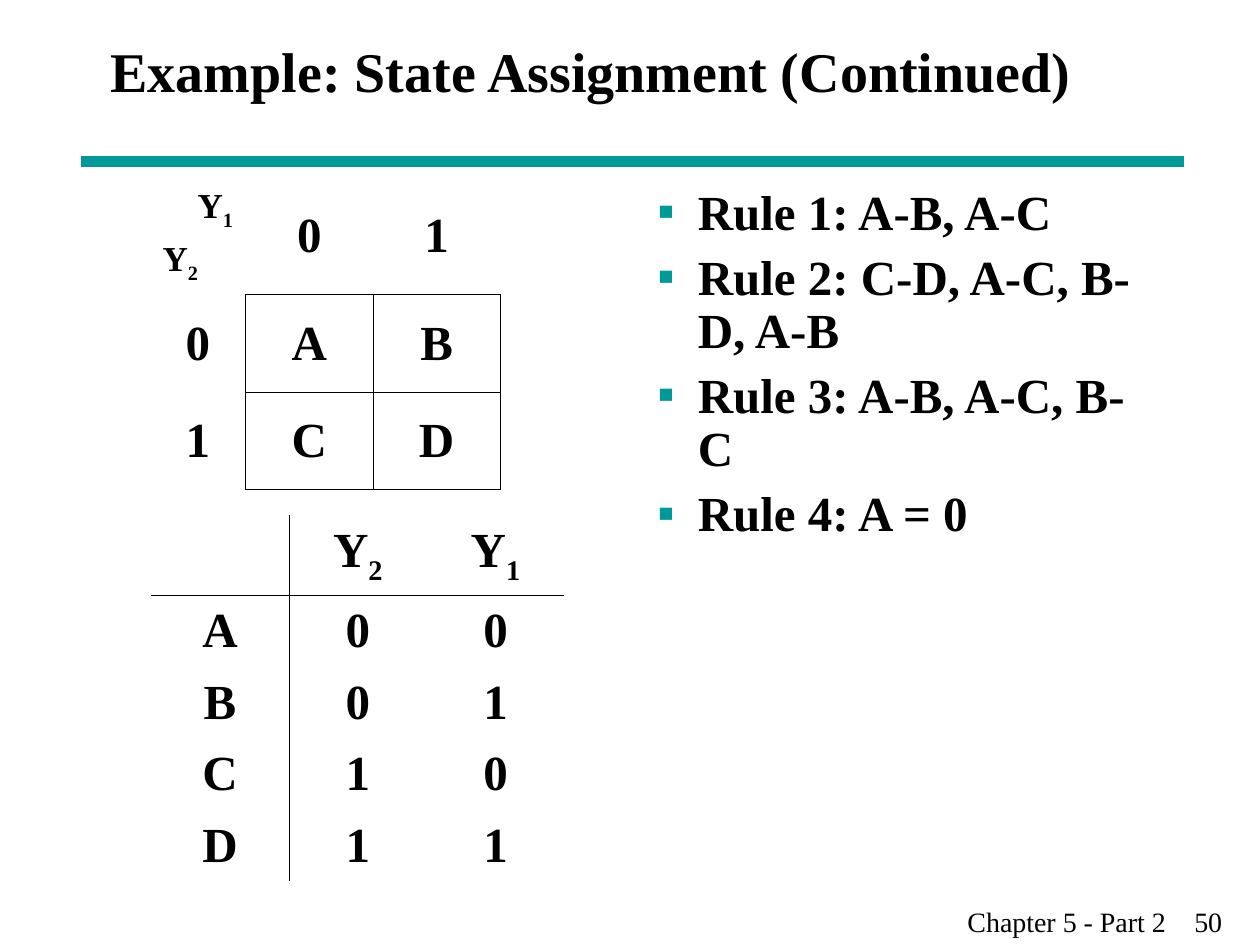
import pptx
import pptx.dml.color
import pptx.enum.shapes
import pptx.enum.text
import pptx.oxml
import pptx.util
from pptx.oxml.ns import nsdecls

BLACK = pptx.dml.color.RGBColor(0, 0, 0)
TEAL = pptx.dml.color.RGBColor(0x00, 0x99, 0x99)
FONT = "Times New Roman"
WIDTH, HEIGHT = pptx.util.Inches(10), pptx.util.Inches(7.5)
ALIGN = pptx.enum.text.PP_ALIGN
MIDDLE = pptx.enum.text.MSO_ANCHOR.MIDDLE

STATE_MAP = [["Y_1\nY_2", "0", "1"],
             ["0", "A", "B"],
             ["1", "C", "D"]]
CODES = [["", "Y_2", "Y_1"],
         ["A", "0", "0"],
         ["B", "0", "1"],
         ["C", "1", "0"],
         ["D", "1", "1"]]
RULES = ["Rule 1: A-B, A-C", "Rule 2: C-D, A-C, B-D, A-B",
         "Rule 3: A-B, A-C, B-C", "Rule 4: A = 0"]


def across(percent):
    """Share of the slide's width."""
    return round(WIDTH * percent / 100)


def down(percent):
    """Share of the slide's height."""
    return round(HEIGHT * percent / 100)


def xml(text):
    return pptx.oxml.parse_xml(text.replace(">", f" {nsdecls('a')}>", 1))


def add_runs(p, text, size, bold=True):
    """Write text into a paragraph; the part after "_" is a subscript."""
    for i, part in enumerate(text.split("_")):
        r = p.add_run()
        r.text = part
        formats = {"name": FONT, "size": pptx.util.Pt(size), "bold": bold}
        for name, value in formats.items():
            setattr(r.font, name, value)
        r.font.color.rgb = BLACK
        if i:
            r.font._element.set("baseline", "-25000")


def add_text(s, left, top, width, height):
    tf = s.shapes.add_textbox(across(left), down(top),
                              across(width), down(height)).text_frame
    tf.word_wrap = True
    return tf


def add_rules(tf, rules):
    indent = pptx.util.Inches(0.32)
    for i, rule in enumerate(rules):
        p = tf.paragraphs[0] if i == 0 else tf.add_paragraph()
        pPr = p._p.get_or_add_pPr()
        pPr.set("marL", str(indent))
        pPr.set("indent", str(-indent))
        pPr.append(xml(f'<a:buClr><a:srgbClr val="{TEAL}"/></a:buClr>'))
        pPr.append(xml(f'<a:buFont typeface="{FONT}"></a:buFont>'))
        pPr.append(xml('<a:buChar char="▪"></a:buChar>'))
        p.line_spacing = 0.9
        if i:
            p.space_before = pptx.util.Pt(7)
        add_runs(p, rule, 28)


def set_borders(cell, sides):
    """Draw the given sides (of L, R, T, B) and hide the others."""
    tcPr = cell._tc.get_or_add_tcPr()
    for side in "LRTB":
        paint = (f'<a:solidFill><a:srgbClr val="{BLACK}"/></a:solidFill>'
                 if side in sides else "<a:noFill/>")
        tcPr.append(xml(f'<a:ln{side} w="{pptx.util.Pt(0.45)}">{paint}</a:ln{side}>'))


def fill_cell(cell, text):
    cell.vertical_anchor = MIDDLE
    tf = cell.text_frame
    lines = text.split("\n")
    corner = len(lines) > 1
    for i, line in enumerate(lines):
        p = tf.paragraphs[0] if i == 0 else tf.add_paragraph()
        p.alignment = (ALIGN.RIGHT, ALIGN.LEFT)[i] if corner else ALIGN.CENTER
        if i:
            p.space_before = pptx.util.Pt(5)
        if line:
            add_runs(p, line, 20 if corner else 28)


def add_grid(s, left, top, cols, rows, texts, sides):
    """Add a table; sides(r, c) names the visible borders of a cell."""
    table = s.shapes.add_table(len(rows), len(cols), across(left), down(top),
                               across(sum(cols)), down(sum(rows))).table
    table.first_row = table.horz_banding = False
    for col, width in zip(table.columns, cols):
        col.width = across(width)
    for row, height in zip(table.rows, rows):
        row.height = down(height)
    for r, line in enumerate(texts):
        for c, text in enumerate(line):
            cell = table.cell(r, c)
            set_borders(cell, sides(r, c))
            cell.fill.background()
            fill_cell(cell, text)


def map_sides(r, c):
    """Boxes around the states, none around the headings."""
    if r and c:
        return "LRTB"
    return "B" if c else "R" if r else ""


def code_sides(r, c):
    """One rule below the header and one beside the first column."""
    return {0: "B", 1: "T"}.get(r, "") + {0: "R", 1: "L"}.get(c, "")


def add_divider(s, left, right, top):
    line = s.shapes.add_connector(pptx.enum.shapes.MSO_CONNECTOR.STRAIGHT,
                                  across(left), down(top), across(right), down(top))
    line.line.color.rgb = TEAL
    line.line.width = pptx.util.Pt(6)
    line._element.spPr.append(xml("<a:effectLst></a:effectLst>"))


def main():
    prs = pptx.Presentation()
    prs.slide_width, prs.slide_height = WIDTH, HEIGHT
    s = prs.slides.add_slide(prs.slide_layouts[6])

    # Divider and footer
    add_divider(s, 6.4, 94, 17.07)
    p = add_text(s, 75.8, 95.07, 24.2, 4.93).paragraphs[0]
    p._p.get_or_add_pPr().append(xml(
        f'<a:tabLst><a:tab pos="{pptx.util.Inches(1.8)}" algn="l"/></a:tabLst>'))
    add_runs(p, "Chapter 5 - Part 2\t50", 16, bold=False)

    # Title
    tf = add_text(s, 7.8, 0, 92.2, 14.93)
    tf.vertical_anchor = MIDDLE
    add_runs(tf.paragraphs[0], "Example: State Assignment (Continued)", 32)

    # State map and code table
    add_grid(s, 11.9, 18.8, [7.6, 10.1, 10.1], [12.4] + [10.3] * 2,
             STATE_MAP, map_sides)
    add_grid(s, 12, 54.53, [10.93] * 3, [8.45] + [7.58] * 4,
             CODES, code_sides)

    # Rules
    add_rules(add_text(s, 51.2, 19.2, 41.7, 73.33), RULES)

    prs.save("out.pptx")


if __name__ == "__main__":
    main()
